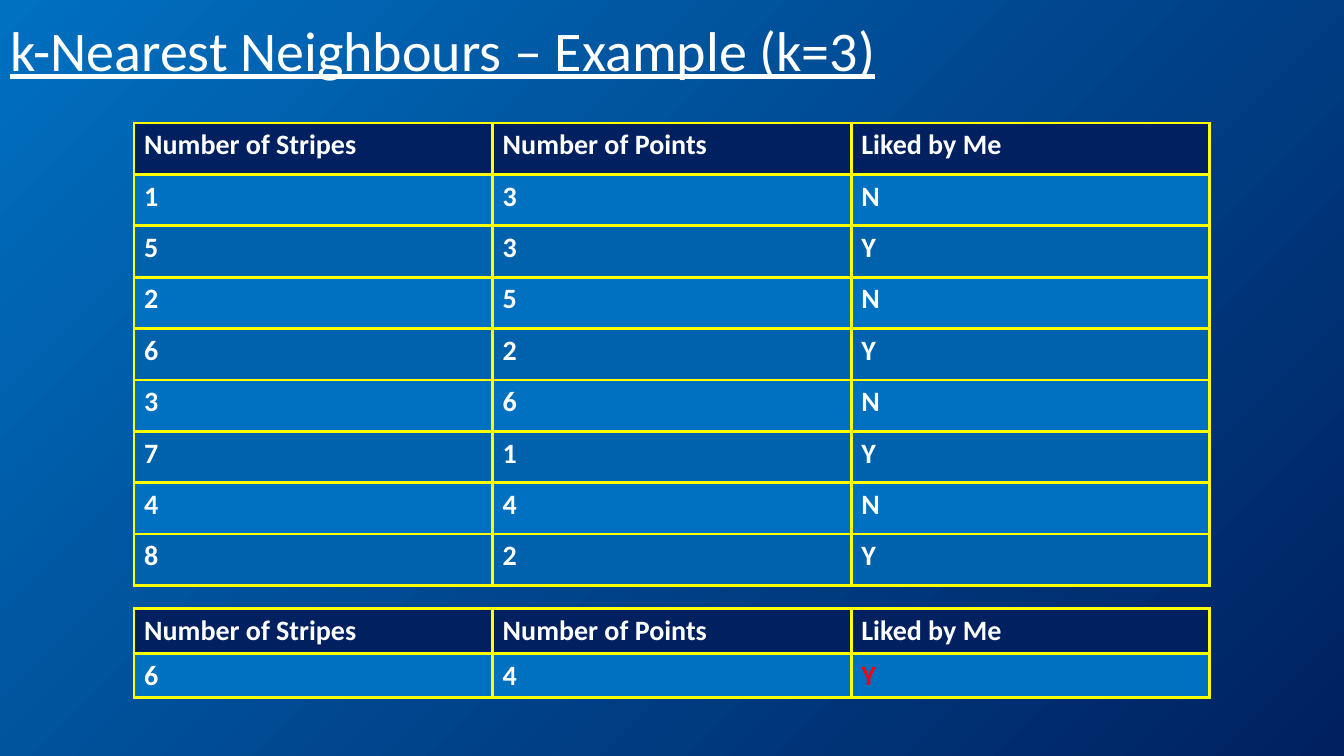
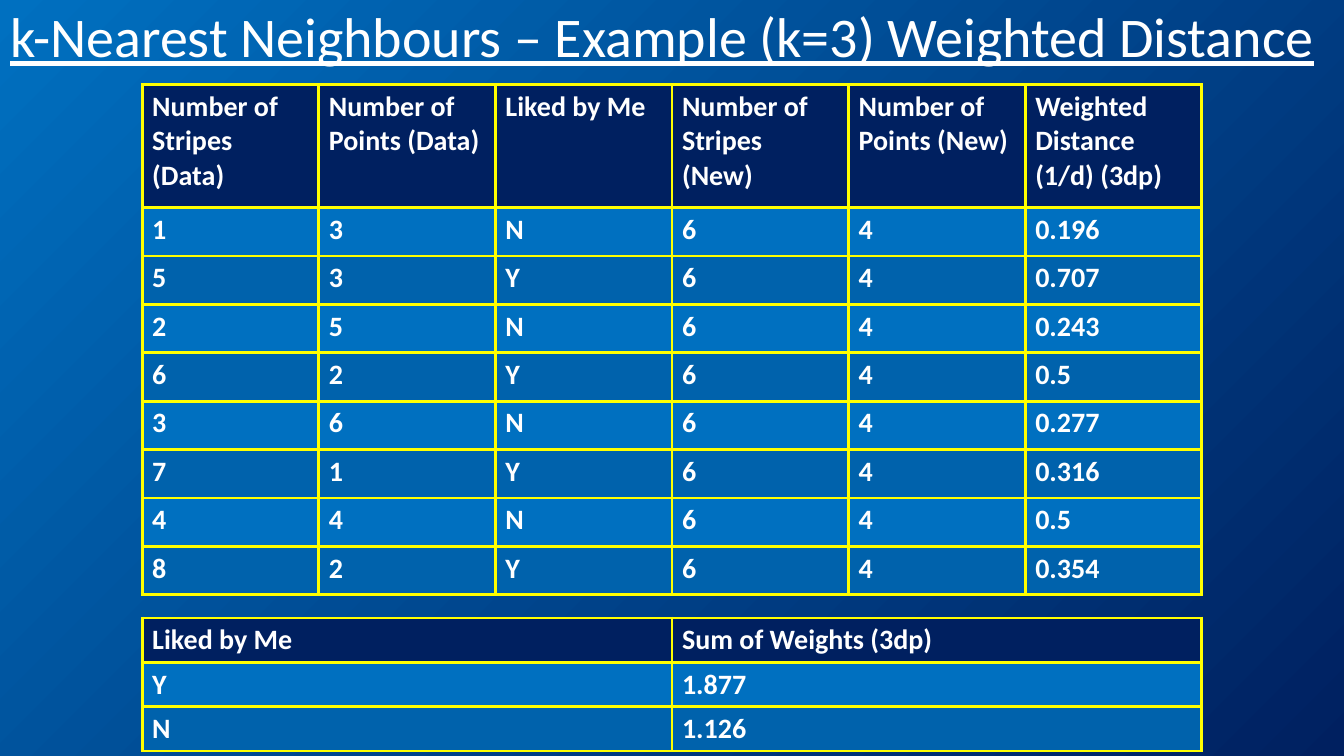
"""Build two slides on k-nearest neighbours with plain and weighted voting."""
import dataclasses
import math

import pptx
import pptx.dml.color
import pptx.enum.text
import pptx.oxml
import pptx.oxml.ns
import pptx.presentation
import pptx.slide
import pptx.table
import pptx.util

Inches = pptx.util.Inches
FONT = "Calibri"
WHITE, RED, YELLOW = "FFFFFF", "FF0000", "FFFF00"
NAVY, BLUE, DEEP_BLUE = "002060", "0070C0", "0062AC"
BORDER_WIDTH = pptx.util.Pt(2.25)

SAMPLES = [
    (1, 3, "N"), (5, 3, "Y"), (2, 5, "N"), (6, 2, "Y"),
    (3, 6, "N"), (7, 1, "Y"), (4, 4, "N"), (8, 2, "Y"),
]
NEW_ITEM = (6, 4)
HEADINGS = ("Number of Stripes", "Number of Points", "Liked by Me")
WEIGHTED_HEADINGS = (
    "Number of Stripes (Data)", "Number of Points (Data)", "Liked by Me",
    "Number of Stripes (New)", "Number of Points (New)",
    "Weighted Distance (1/d) (3dp)",
)


@dataclasses.dataclass(frozen=True)
class Grid:
    """A table with equal columns, one header row and banded body rows."""

    left: float
    top: float
    width: float
    header_height: float
    row_height: float
    rows: list[tuple]
    highlight: tuple[int, int] | None = None


@dataclasses.dataclass(frozen=True)
class Page:
    """A titled slide and its tables."""

    title: str
    title_box: tuple[float, float, float, float]
    grids: list[Grid]


def colour(value: str) -> pptx.dml.color.RGBColor:
    """Return the colour for a hex string."""
    return pptx.dml.color.RGBColor.from_string(value)


def weighted_row(sample: tuple) -> tuple:
    """Extend a sample with the new item and its inverse distance."""
    return (*sample, *NEW_ITEM, round(1 / math.dist(sample[:2], NEW_ITEM), 3))


def set_background(master: pptx.slide.SlideMaster) -> None:
    """Give the master a diagonal blue gradient."""
    fill = master.background.fill
    fill.gradient()
    fill.gradient_angle = 315
    for stop, value in zip(fill.gradient_stops, (BLUE, NAVY)):
        stop.color.rgb = colour(value)


def add_title(slide: pptx.slide.Slide, page: Page) -> None:
    """Place and format the slide title."""
    title = slide.shapes.title
    title.left, title.top, title.width, title.height = map(Inches, page.title_box)
    frame = title.text_frame
    frame.text = page.title
    frame.word_wrap = True
    frame.auto_size = pptx.enum.text.MSO_AUTO_SIZE.NONE
    frame.vertical_anchor = pptx.enum.text.MSO_ANCHOR.MIDDLE
    paragraph = frame.paragraphs[0]
    paragraph.alignment = pptx.enum.text.PP_ALIGN.LEFT
    paragraph.line_spacing = 0.9
    paragraph.font.name = FONT
    paragraph.font.size = pptx.util.Pt(40)
    paragraph.font.underline = True
    paragraph.font.color.rgb = colour(WHITE)


def add_borders(cell: pptx.table._Cell) -> None:
    """Draw a yellow line on each side of a cell."""
    properties = cell._tc.get_or_add_tcPr()
    for side in ("lnL", "lnR", "lnT", "lnB"):
        properties.append(pptx.oxml.parse_xml(
            f'<a:{side} {pptx.oxml.ns.nsdecls("a")} w="{BORDER_WIDTH}">'
            f'<a:solidFill><a:srgbClr val="{YELLOW}"/></a:solidFill></a:{side}>'
        ))


def format_cell(cell: pptx.table._Cell, text: str, fill: str, ink: str) -> None:
    """Write and style one table cell."""
    add_borders(cell)
    cell.fill.solid()
    cell.fill.fore_color.rgb = colour(fill)
    cell.text = text
    font = cell.text_frame.paragraphs[0].font
    font.name = FONT
    font.size = pptx.util.Pt(20)
    font.bold = True
    font.color.rgb = colour(ink)


def add_grid(slide: pptx.slide.Slide, grid: Grid) -> None:
    """Draw a table."""
    heights = [grid.header_height] + [grid.row_height] * (len(grid.rows) - 1)
    table = slide.shapes.add_table(
        len(grid.rows), len(grid.rows[0]), Inches(grid.left), Inches(grid.top),
        Inches(grid.width), Inches(sum(heights)),
    ).table
    for row_index, (values, height) in enumerate(zip(grid.rows, heights)):
        table.rows[row_index].height = Inches(height)
        band = BLUE if row_index % 2 else DEEP_BLUE
        fill = band if row_index else NAVY
        for column_index, value in enumerate(values):
            position = (row_index, column_index)
            ink = RED if position == grid.highlight else WHITE
            format_cell(table.cell(*position), str(value), fill, ink)


def add_page(presentation: pptx.presentation.Presentation, page: Page) -> None:
    """Add one slide with its title and tables."""
    slide = presentation.slides.add_slide(presentation.slide_layouts[5])
    add_title(slide, page)
    for grid in page.grids:
        add_grid(slide, grid)


PAGES = [
    Page("k-Nearest Neighbours – Example (k=3)", (0, 0, 11.5, 1.05), [
        Grid(1.33, 1.22, 10.67, 0.51, 0.51, [HEADINGS, *SAMPLES]),
        Grid(1.33, 6.04, 10.67, 0.44, 0.44, [HEADINGS, (*NEW_ITEM, "Y")], (1, 2)),
    ]),
    Page(
        "k-Nearest Neighbours – Example (k=3) Weighted Distance",
        (0, -0.05, 13.33, 0.89),
        [
            Grid(1.41, 0.84, 10.51, 1.22, 0.48,
                 [WEIGHTED_HEADINGS, *map(weighted_row, SAMPLES)]),
            Grid(1.41, 6.13, 10.51, 0.44, 0.44,
                 [("Liked by Me", "Sum of Weights (3dp)"),
                  ("Y", "1.877"), ("N", "1.126")]),
        ],
    ),
]


def main() -> None:
    """Build and save the presentation."""
    presentation = pptx.Presentation()
    presentation.slide_width = Inches(13.33)
    presentation.slide_height = Inches(7.5)
    set_background(presentation.slide_master)
    for page in PAGES:
        add_page(presentation, page)
    presentation.save("out.pptx")


if __name__ == "__main__":
    main()
